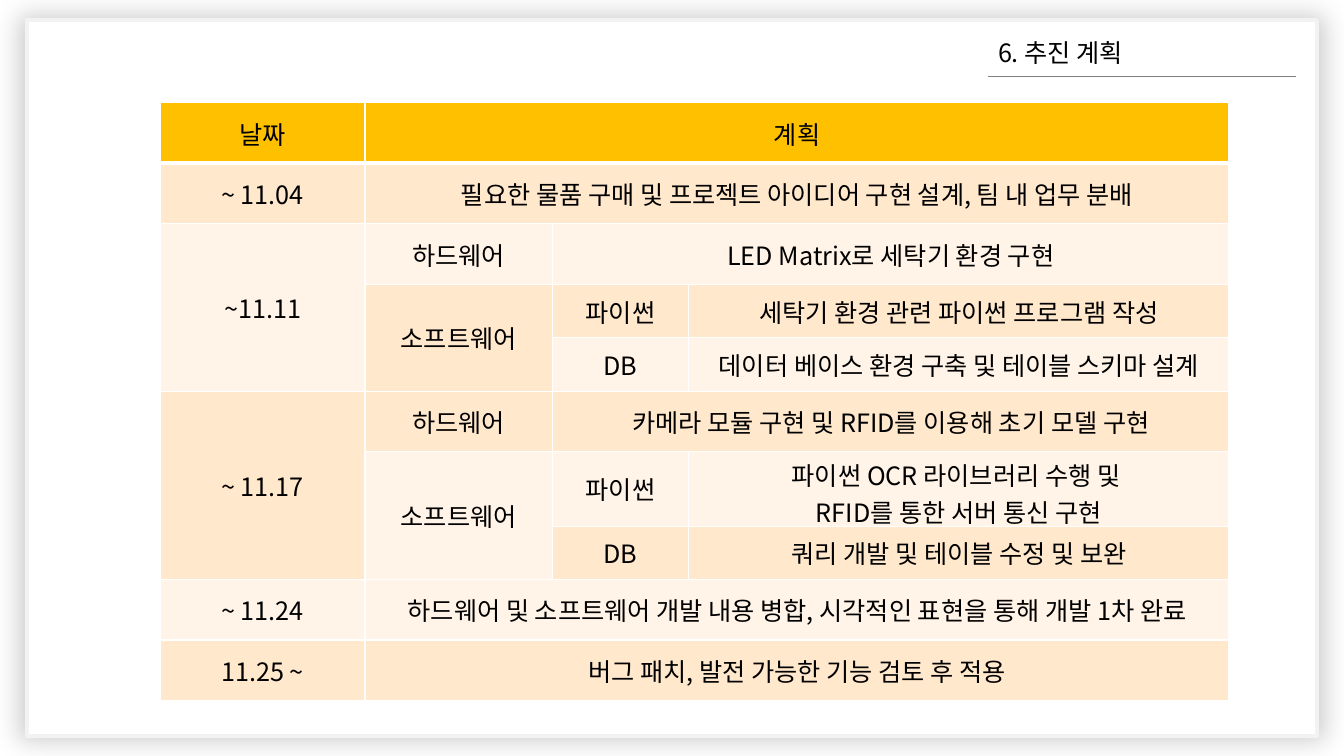
"""Build the project schedule slide with its merged plan table."""
from lxml import etree
from pptx import Presentation
from pptx.dml.color import RGBColor
from pptx.enum.shapes import MSO_CONNECTOR, MSO_SHAPE
from pptx.enum.text import MSO_ANCHOR, PP_ALIGN
from pptx.oxml import parse_xml
from pptx.oxml.ns import qn
from pptx.util import Inches, Pt

RECTANGLE = MSO_SHAPE.RECTANGLE
STRAIGHT = MSO_CONNECTOR.STRAIGHT
LEFT, CENTER = PP_ALIGN.LEFT, PP_ALIGN.CENTER
MIDDLE = MSO_ANCHOR.MIDDLE
FONT = "Noto Sans CJK KR"
NS = 'xmlns:a="http://schemas.openxmlformats.org/drawingml/2006/main"'
HEADER_FILL, ODD_FILL, EVEN_FILL = "FFC000", "FFE8CC", "FFF4E7"


def color(hex_value):
    return RGBColor.from_string(hex_value)


def write(frame, text, size=18, fill="000000", align=LEFT, line_spacing=None):
    frame.text = text
    for paragraph in frame.paragraphs:
        paragraph.alignment = align
        paragraph.line_spacing = line_spacing
        for run in paragraph.runs:
            run.font.size = Pt(size)
            run.font.name = FONT
            run.font.color.rgb = color(fill)
            east_asian = etree.SubElement(run.font._element, qn("a:ea"))
            east_asian.set("typeface", FONT)


deck = Presentation()
deck.slide_width, deck.slide_height = Inches(13.33), Inches(7.5)
slide = deck.slides.add_slide(deck.slide_layouts[6])
shapes = slide.shapes

page = shapes.add_shape(RECTANGLE, Inches(0.27), Inches(0.2), Inches(12.79), Inches(7.1))
page.fill.solid()
page.fill.fore_color.rgb = color("FFFFFF")
page.line.color.rgb = color("F2F2F2")
page.line.width = Pt(3)
page._element.spPr.append(parse_xml(
    f'<a:effectLst {NS}><a:outerShdw blurRad="{Inches(0.25)}" dist="0" sx="101000" sy="101000" '
    'algn="ctr" rotWithShape="0"><a:srgbClr val="000000"><a:alpha val="20000"/></a:srgbClr>'
    '</a:outerShdw></a:effectLst>'))

title_rule = shapes.add_connector(STRAIGHT, Inches(9.8), Inches(0.76), Inches(12.85), Inches(0.76))
title_rule.line.color.rgb = color("808080")
title_rule.line.width = Pt(0.5)
etree.SubElement(title_rule._element.spPr, qn("a:effectLst"))

title = shapes.add_textbox(Inches(9.8), Inches(0.36), Inches(3.05), Inches(0.43))
title.text_frame.word_wrap = True
write(title.text_frame, "6. 추진 계획", line_spacing=0.9)

column_widths = [2.03, 1.86, 1.35, 5.36]
row_heights = [0.6, 0.6, 0.6, 0.53, 0.53, 0.6, 0.74, 0.53, 0.6, 0.6]
plan_rows = [
    ["날짜", "계획", "", ""],
    ["~ 11.04", "필요한 물품 구매 및 프로젝트 아이디어 구현 설계, 팀 내 업무 분배", "", ""],
    ["~11.11", "하드웨어", "LED Matrix로 세탁기 환경 구현", ""],
    ["", "소프트웨어", "파이썬", "세탁기 환경 관련 파이썬 프로그램 작성"],
    ["", "", "DB", "데이터 베이스 환경 구축 및 테이블 스키마 설계"],
    ["~ 11.17", "하드웨어", "카메라 모듈 구현 및 RFID를 이용해 초기 모델 구현", ""],
    ["", "소프트웨어", "파이썬", "파이썬 OCR 라이브러리 수행 및 \nRFID를 통한 서버 통신 구현"],
    ["", "", "DB", "쿼리 개발 및 테이블 수정 및 보완"],
    ["~ 11.24", "하드웨어 및 소프트웨어 개발 내용 병합, 시각적인 표현을 통해 개발 1차 완료", "", ""],
    ["11.25 ~", "버그 패치, 발전 가능한 기능 검토 후 적용", "", ""],
]

plan = shapes.add_table(len(row_heights), len(column_widths), Inches(1.59), Inches(1.02),
                        Inches(sum(column_widths)), Inches(sum(row_heights))).table
for column, width in zip(plan.columns, column_widths):
    column.width = Inches(width)
for row, height in zip(plan.rows, row_heights):
    row.height = Inches(height)

for full_row in (0, 1, 8, 9):
    plan.cell(full_row, 1).merge(plan.cell(full_row, 3))
for stage_row in (2, 5):
    plan.cell(stage_row, 0).merge(plan.cell(stage_row + 2, 0))
    plan.cell(stage_row, 2).merge(plan.cell(stage_row, 3))
    plan.cell(stage_row + 1, 1).merge(plan.cell(stage_row + 2, 1))

for r, texts in enumerate(plan_rows):
    band_fill = HEADER_FILL if r == 0 else ODD_FILL if r % 2 else EVEN_FILL
    for c, text in enumerate(texts):
        cell = plan.cell(r, c)
        cell.vertical_anchor = MIDDLE
        for side in ("L", "R", "T", "B"):
            under_header = (r, side) in ((0, "B"), (1, "T"))
            cell._tc.tcPr.append(parse_xml(
                f'<a:ln{side} {NS} w="{Pt(3 if under_header else 1)}"><a:solidFill>'
                f'<a:srgbClr val="FFFFFF"/></a:solidFill></a:ln{side}>'))
        cell.fill.solid()
        cell.fill.fore_color.rgb = color(band_fill)
        if text:
            write(cell.text_frame, text, align=CENTER)

deck.save("out.pptx")
